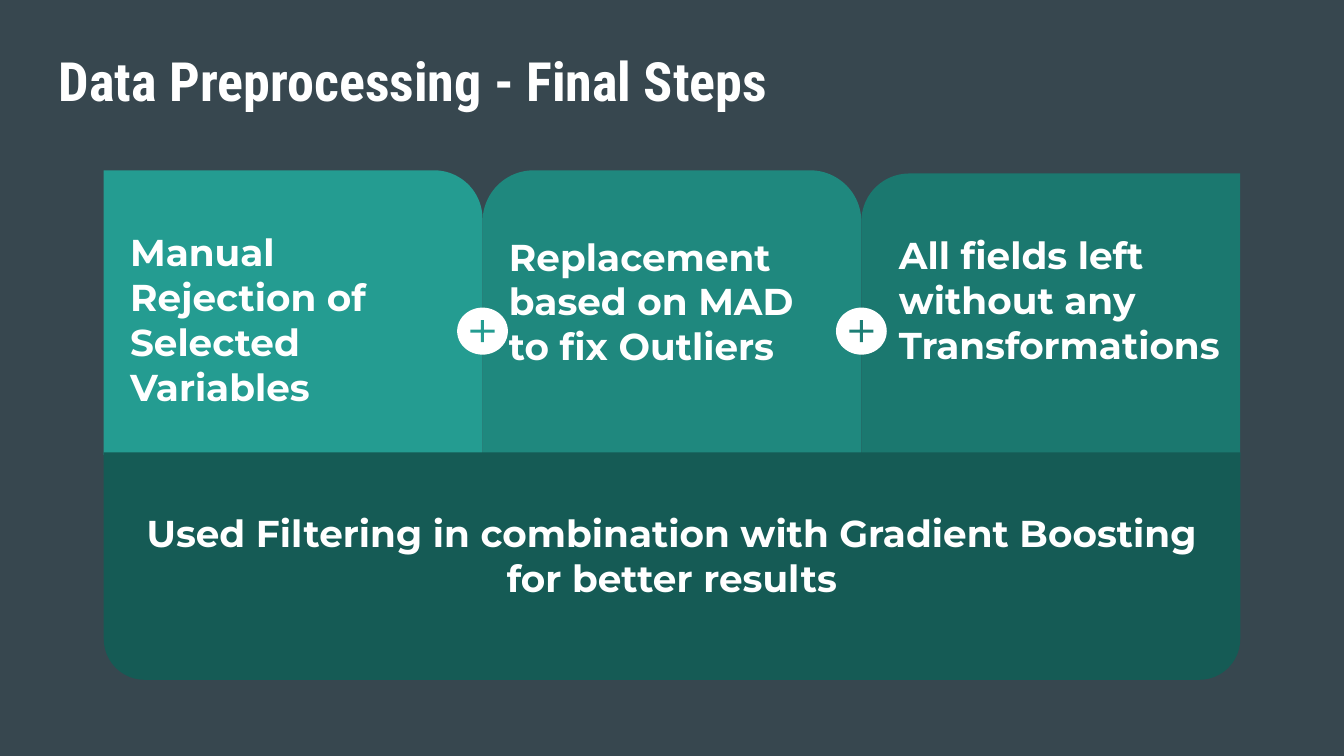
from pptx import Presentation
from pptx.dml.color import RGBColor
from pptx.enum.shapes import MSO_SHAPE
from pptx.enum.text import MSO_ANCHOR, MSO_AUTO_SIZE, PP_ALIGN
from pptx.util import Cm, Pt

ROUND_ONE = MSO_SHAPE.ROUND_1_RECTANGLE
ROUND_TWO = MSO_SHAPE.ROUND_2_SAME_RECTANGLE
OVAL = MSO_SHAPE.OVAL
PLUS = MSO_SHAPE.MATH_PLUS
LEFT, CENTER = PP_ALIGN.LEFT, PP_ALIGN.CENTER

SLATE = RGBColor(0x37, 0x47, 0x4F)
WHITE = RGBColor(0xFF, 0xFF, 0xFF)
LIGHT = RGBColor(0x24, 0x9C, 0x91)
TEAL = RGBColor(0x1F, 0x88, 0x7E)
DEEP = RGBColor(0x1D, 0x7E, 0x75)
DARK = RGBColor(0x1B, 0x78, 0x6F)
BASE = RGBColor(0x15, 0x5B, 0x55)

EDGE = 1.96    # left side of the panels
STEP = 7.16    # width of one panel
FLOOR = 8.6    # bottom of the upper panels
PLUS_Y = 6.26  # centre line of the plus badges


def set_text(shape, text, font="Montserrat", size=20, align=LEFT):
    frame = shape.text_frame
    frame.word_wrap = True
    frame.auto_size = MSO_AUTO_SIZE.NONE
    frame.vertical_anchor = MSO_ANCHOR.TOP
    frame.margin_left = frame.margin_right = Cm(0.25)
    frame.margin_top = frame.margin_bottom = Cm(0.25)
    frame.text = text
    para = frame.paragraphs[0]
    para.alignment = align
    para.font.name = font
    para.font.size = Pt(size)
    para.font.bold = True
    para.font.color.rgb = WHITE


def add_title(slide, text):
    title = slide.shapes.title
    title.left, title.top = Cm(0.86), Cm(0.64)
    title.width, title.height = Cm(23.67), Cm(1.6)
    set_text(title, text, font="Roboto Condensed", size=29)


def add_label(slide, text, left, top, width, height, **style):
    box = slide.shapes.add_textbox(Cm(left), Cm(top), Cm(width), Cm(height))
    set_text(box, text, **style)


def add_block(slide, kind, color, left, top, width, height, adjust=()):
    block = slide.shapes.add_shape(
        kind, Cm(left), Cm(top), Cm(width), Cm(height))
    block.shadow.inherit = False
    block.fill.solid()
    block.fill.fore_color.rgb = color
    block.line.fill.background()
    for i, value in enumerate(adjust):
        block.adjustments[i] = value
    return block


def add_badge(slide, x, color):
    """Put a plus in a white disc, centred at x."""
    for kind, fill, width, height, adjust in (
            (OVAL, WHITE, 0.96, 0.89, ()),
            (PLUS, color, 0.62, 0.57, (0.1,))):
        add_block(slide, kind, fill, x - width / 2, PLUS_Y - height / 2,
                  width, height, adjust)


def main():
    deck = Presentation()
    deck.slide_width, deck.slide_height = Cm(25.4), Cm(14.29)
    slide = deck.slides.add_slide(deck.slide_layouts[5])
    slide.background.fill.solid()
    slide.background.fill.fore_color.rgb = SLATE
    add_title(slide, "Data Preprocessing - Final Steps")

    # kind, colour, top, corners, text, text inset, text top
    panels = [
        (ROUND_ONE, LIGHT, 3.22, (0.17,),
         "Manual Rejection of Selected Variables", 0.25, 4.09),
        (ROUND_TWO, TEAL, 3.22, (0.18, 0),
         "Replacement based on MAD to fix Outliers", 0.25, 4.17),
        (ROUND_ONE, DARK, 3.28, (0.17,),
         "All fields left without any Transformations", 0.46, 4.14),
    ]
    for i, (kind, color, top, adjust, text, inset, y) in enumerate(panels):
        left = EDGE + i * STEP
        panel = add_block(slide, kind, color, left, top, STEP, FLOOR - top,
                          adjust)
        if i == len(panels) - 1:
            panel.element.spPr.xfrm.set("flipH", "1")
        add_label(slide, text, left + inset, y, 6.67, 3.6)

    for i, color in enumerate((LIGHT, DEEP), start=1):
        add_badge(slide, EDGE + i * STEP, color)

    base = add_block(slide, ROUND_TWO, BASE, EDGE, 8.55, 3 * STEP, 4.3,
                     (0.18, 0))
    base.rotation = 180
    add_label(slide, "Used Filtering in combination with Gradient Boosting "
              "for better results", EDGE + 0.44, 9.4, 20.6, 2.6, align=CENTER)

    deck.save("out.pptx")


if __name__ == "__main__":
    main()
